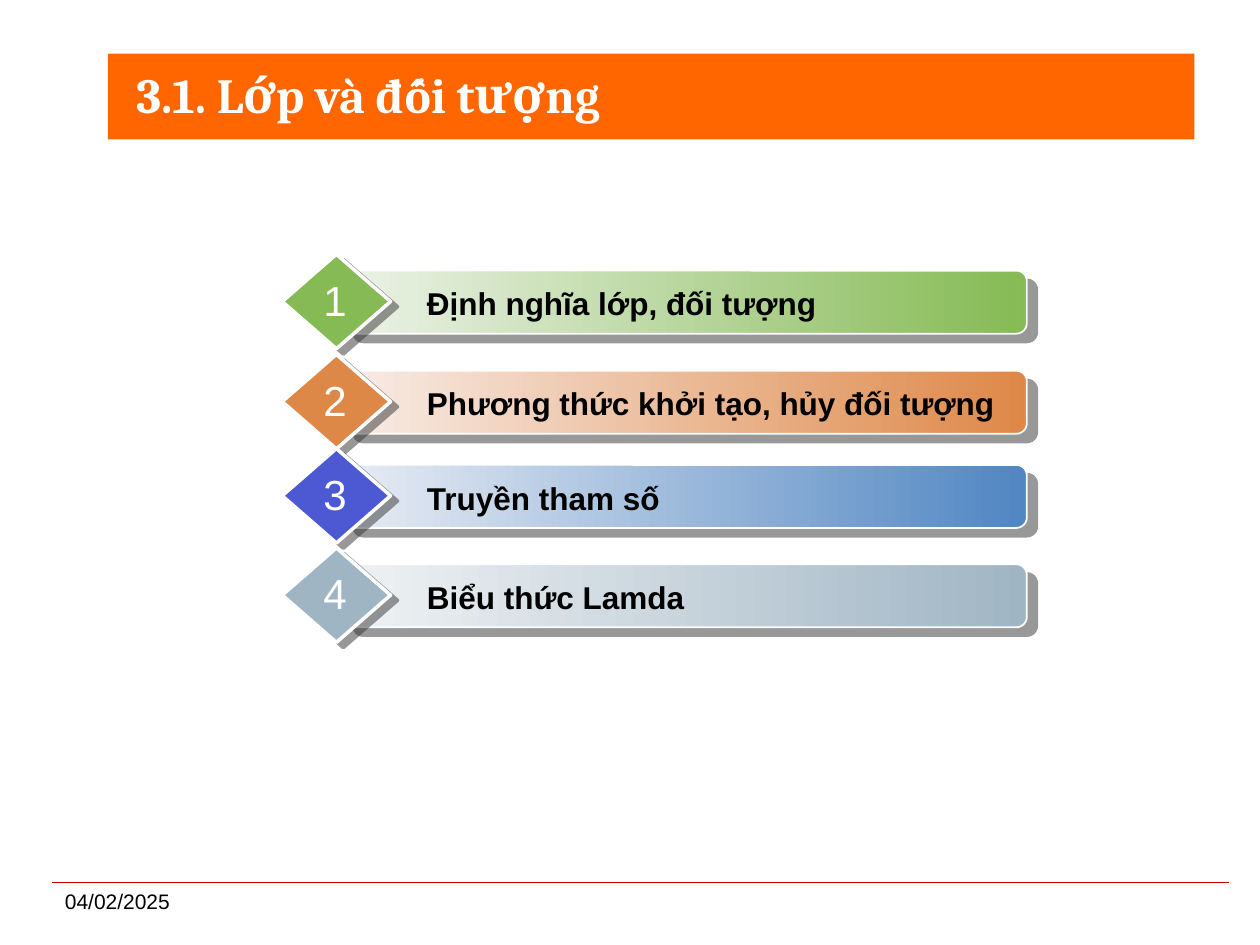
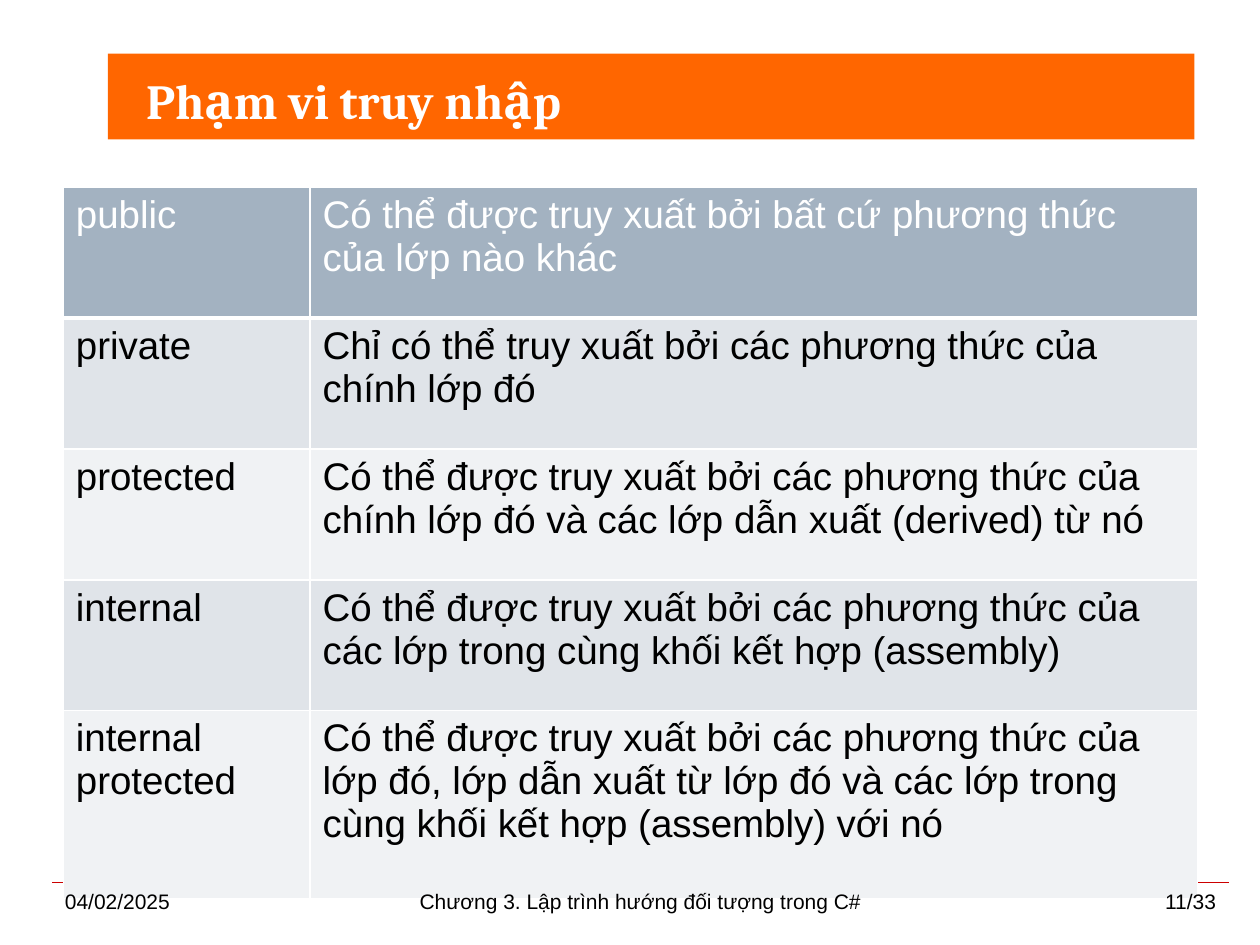
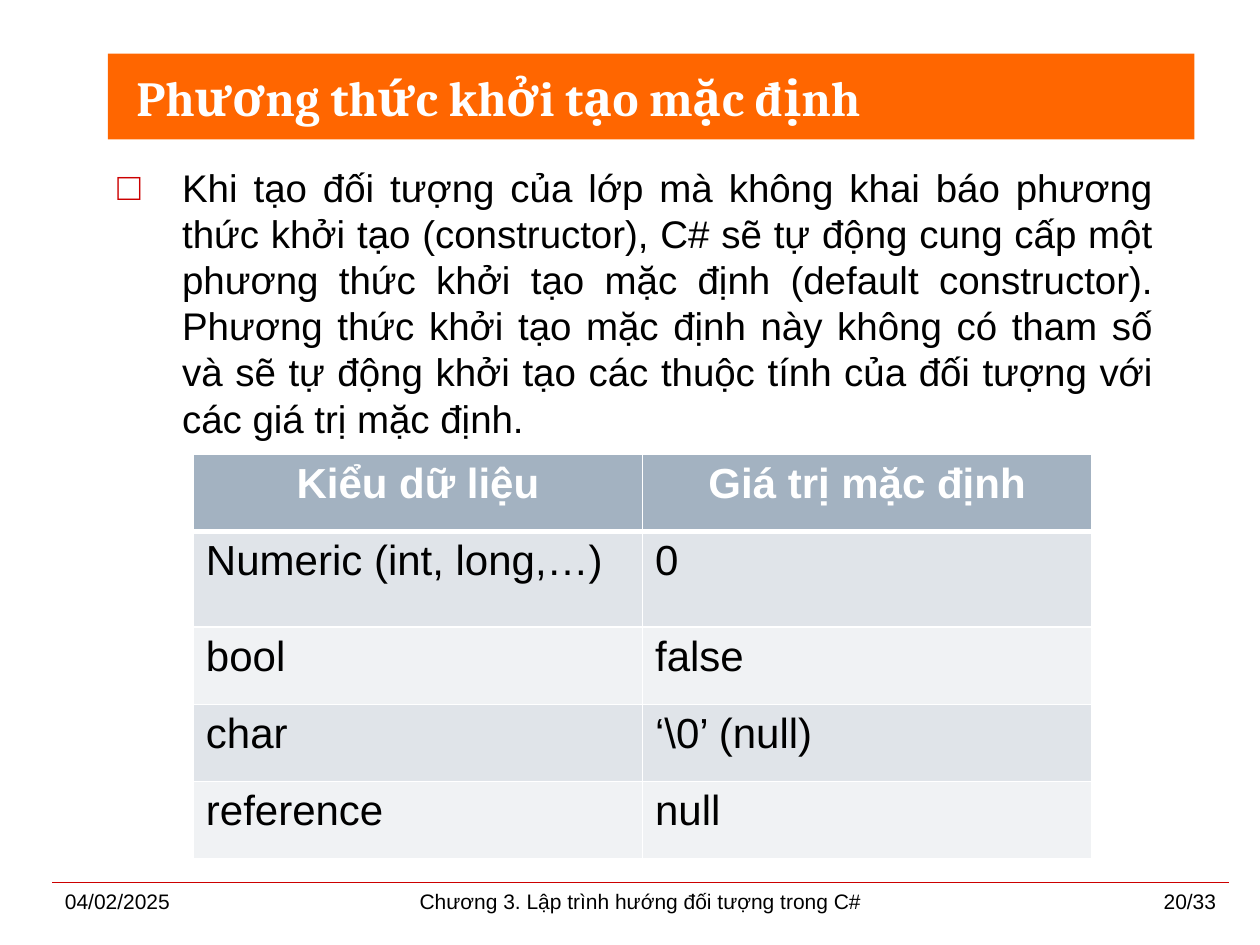
from lxml import etree
from pptx import Presentation
from pptx.dml.color import RGBColor
from pptx.enum.shapes import MSO_CONNECTOR, MSO_SHAPE as SHAPE
from pptx.enum.text import MSO_ANCHOR as ANCHOR, PP_ALIGN as ALIGN
from pptx.oxml.ns import qn
from pptx.util import Pt

# Colours
WHITE = RGBColor(0xFF, 0xFF, 0xFF)
BLACK = RGBColor(0x00, 0x00, 0x00)
ORANGE = RGBColor(0xFF, 0x66, 0x00)
RED = RGBColor(0xCC, 0x00, 0x00)
SHADOW = RGBColor(0x33, 0x33, 0x33)
HEADER = RGBColor(0xA3, 0xB2, 0xC1)
BANDS = (RGBColor(0xE0, 0xE4, 0xE9), RGBColor(0xF0, 0xF2, 0xF4))
GREEN = RGBColor(0x85, 0xBA, 0x54)
PALE_GREEN = RGBColor(0xEC, 0xF2, 0xE8)
COPPER = RGBColor(0xDE, 0x88, 0x48)
PALE_COPPER = RGBColor(0xF8, 0xEC, 0xE7)
BLUE = RGBColor(0x50, 0x86, 0xC2)
PALE_BLUE = RGBColor(0xE8, 0xEC, 0xF4)
INDIGO = RGBColor(0x4C, 0x59, 0xD2)
STEEL = RGBColor(0xA0, 0xB5, 0xC4)
PALE_STEEL = RGBColor(0xEF, 0xF2, 0xF4)

DATE = "04/02/2025"
CHAPTER = "Chương 3. Lập trình hướng đối tượng trong C#"

# Agenda: top of the bar, text, pale colour, bar colour, diamond colour
AGENDA = [
    (154.7, "Định nghĩa lớp, đối tượng", PALE_GREEN, GREEN, GREEN),
    (211.9, "Phương thức khởi tạo, hủy đối tượng", PALE_COPPER, COPPER, COPPER),
    (265.7, "Truyền tham số", PALE_BLUE, BLUE, INDIGO),
    (322.5, "Biểu thức Lamda", PALE_STEEL, STEEL, STEEL),
]

ACCESS_LEVELS = [
    ("public", "Có thể được truy xuất bởi bất cứ phương thức của lớp nào khác"),
    ("private", "Chỉ có thể truy xuất bởi các phương thức của chính lớp đó"),
    ("protected", "Có thể được truy xuất bởi các phương thức của chính lớp đó "
                  "và các lớp dẫn xuất (derived) từ nó"),
    ("internal", "Có thể được truy xuất bởi các phương thức của các lớp trong "
                 "cùng khối kết hợp (assembly)"),
    ("internal protected", "Có thể được truy xuất bởi các phương thức của lớp đó, "
                           "lớp dẫn xuất từ lớp đó và các lớp trong cùng khối "
                           "kết hợp (assembly) với nó"),
]

DEFAULT_VALUES = [
    ("Kiểu dữ liệu", "Giá trị mặc định"),
    ("Numeric (int, long,…)", "0"),
    ("bool", "false"),
    ("char", "‘\\0’ (null)"),
    ("reference", "null"),
]

CONSTRUCTOR_NOTE = (
    "Khi tạo đối tượng của lớp mà không khai báo phương thức khởi tạo "
    "(constructor), C# sẽ tự động cung cấp một phương thức khởi tạo mặc định "
    "(default constructor). Phương thức khởi tạo mặc định này không có tham số "
    "và sẽ tự động khởi tạo các thuộc tính của đối tượng với các giá trị mặc định."
)


def add_color(parent, rgb):
    return etree.SubElement(parent, qn("a:srgbClr"), val=str(rgb))


class Deck:
    def __init__(self):
        self.prs = Presentation()
        self.prs.slide_width, self.prs.slide_height = Pt(720), Pt(540)
        self.shapes = None

    def style(self, paragraph, size, color=BLACK, bold=False, font="Arial",
              align=ALIGN.LEFT):
        paragraph.alignment = align
        for run in paragraph.runs:
            run.font.name, run.font.size, run.font.bold = font, Pt(size), bold
            run.font.color.rgb = color

    def slide(self, title, left, top, width):
        """Start a slide with its footer rule, title band and title."""
        self.shapes = self.prs.slides.add_slide(self.prs.slide_layouts[6]).shapes
        self.rule(30, 504, 702)
        self.shape(SHAPE.RECTANGLE, 61.7, 30.7, 620.8, 49, ORANGE)
        self.text(title, left, top, width, 54, 28, WHITE, bold=True,
                  font="Cambria", anchor=ANCHOR.MIDDLE)

    def rule(self, left, top, right):
        line = self.shapes.add_connector(
            MSO_CONNECTOR.STRAIGHT, Pt(left), Pt(top), Pt(right), Pt(top))
        line.line.color.rgb, line.line.width = RED, Pt(0.25)
        etree.SubElement(line._element.spPr, qn("a:effectLst"))

    def shape(self, kind, left, top, width, height, color, pale=None,
              outline=0, shadow=None):
        shape = self.shapes.add_shape(kind, Pt(left), Pt(top), Pt(width), Pt(height))
        shape.shadow.inherit = False
        if pale is None:
            shape.fill.solid()
            shape.fill.fore_color.rgb = color
        else:
            shape.fill.gradient()
            shape.fill.gradient_angle = 0
            for stop, rgb, position in zip(shape.fill.gradient_stops, (pale, color), (0, 1)):
                stop.color.rgb, stop.position = rgb, position
        if outline:
            shape.line.color.rgb, shape.line.width = WHITE, Pt(outline)
        else:
            shape.line.fill.background()
        if shadow:
            distance, degrees = shadow
            effects = shape._element.spPr.find(qn("a:effectLst"))
            outer = etree.SubElement(
                effects, qn("a:outerShdw"), blurRad="0", dist=str(Pt(distance)),
                dir=str(degrees * 60000), algn="ctr", rotWithShape="0")
            etree.SubElement(add_color(outer, SHADOW), qn("a:alpha"), val="50000")

    def text(self, words, left, top, width, height, size, color=BLACK,
             anchor=ANCHOR.TOP, wrap=True, **look):
        frame = self.shapes.add_textbox(
            Pt(left), Pt(top), Pt(width), Pt(height)).text_frame
        frame.word_wrap, frame.vertical_anchor = wrap, anchor
        frame.text = words
        self.style(frame.paragraphs[0], size, color, **look)
        return frame.paragraphs[0]

    def bullet(self, words, left, top, width, height, size):
        paragraph = self.text(words, left, top, width, height, size,
                              align=ALIGN.JUSTIFY)
        props = paragraph._p.get_or_add_pPr()
        props.set("marL", str(Pt(37)))
        props.set("indent", str(Pt(-37)))
        add_color(etree.SubElement(props, qn("a:buClr")), RED)
        etree.SubElement(props, qn("a:buFont"), typeface="Arial")
        etree.SubElement(props, qn("a:buChar"), char="□")

    def agenda_item(self, number, top, words, pale, color, diamond):
        """A gradient bar with a numbered diamond, as one group."""
        slide_shapes = self.shapes
        self.shapes = slide_shapes.add_group_shape().shapes
        self.shape(SHAPE.ROUNDED_RECTANGLE, 195.8, top, 391, 36, color, pale,
                   outline=1, shadow=(7.8, 40))
        self.shape(SHAPE.DIAMOND, 161.3, top - 9.4, 61.9, 54, diamond,
                   outline=2, shadow=(5, 37))
        self.text(words, 236.9, top + 4.2, 350, 29, 18, bold=True)
        self.text(str(number), 175.7, top - 1.6, 31.7, 36, 24, WHITE,
                  wrap=False, align=ALIGN.CENTER)
        self.shapes = slide_shapes

    def table(self, rows, left, top, widths, heights, size, **header_look):
        table = self.shapes.add_table(
            len(rows), len(widths), Pt(left), Pt(top),
            Pt(sum(widths)), Pt(sum(heights))).table
        for column, width in zip(table.columns, widths):
            column.width = Pt(width)
        for r, (words, height) in enumerate(zip(rows, heights)):
            table.rows[r].height = Pt(height)
            for c, word in enumerate(words):
                cell = table.cell(r, c)
                cell.text = word
                self.borders(cell, top=3 if r == 1 else 1, bottom=3 if r == 0 else 1)
                cell.fill.solid()
                cell.fill.fore_color.rgb = BANDS[(r - 1) % 2] if r else HEADER
                look = {} if r else {"color": WHITE, **header_look}
                self.style(cell.text_frame.paragraphs[0], size, **look)

    def borders(self, cell, top, bottom):
        props = cell._tc.get_or_add_tcPr()
        for side, width in (("L", 1), ("R", 1), ("T", top), ("B", bottom)):
            line = etree.SubElement(props, qn("a:ln" + side), w=str(Pt(width)))
            add_color(etree.SubElement(line, qn("a:solidFill")), WHITE)

    def footer(self, page=None):
        self.text(DATE, 30, 504, 156, 25, 12)
        if page:
            self.text(CHAPTER, 210, 504, 312, 25, 12, align=ALIGN.CENTER)
            self.text(page, 546, 504, 156, 25, 12, align=ALIGN.RIGHT)


def main():
    deck = Deck()

    # Agenda
    deck.slide("3.1. Lớp và đối tượng", 70.8, 26.9, 660)
    deck.footer()
    for number, item in enumerate(AGENDA, 1):
        deck.agenda_item(number, *item)

    # Access levels
    deck.slide("Phạm vi truy nhập", 76.5, 30.2, 590)
    deck.table(ACCESS_LEVELS, 36.2, 107, (141, 507), [74.8] * 4 + [107.6], 22)
    deck.footer("11/33")

    # Default constructor
    deck.slide("Phương thức khởi tạo mặc định", 70.8, 28.1, 660)
    deck.bullet(CONSTRUCTOR_NOTE, 60, 90, 606, 408, 22)
    deck.footer("20/33")
    deck.table(DEFAULT_VALUES, 110.5, 259.6, [256.7] * 2,
               (44.1, 54.7, 44.1, 44.1, 44.1), 24, bold=True, align=ALIGN.CENTER)

    deck.prs.save("out.pptx")


if __name__ == "__main__":
    main()
